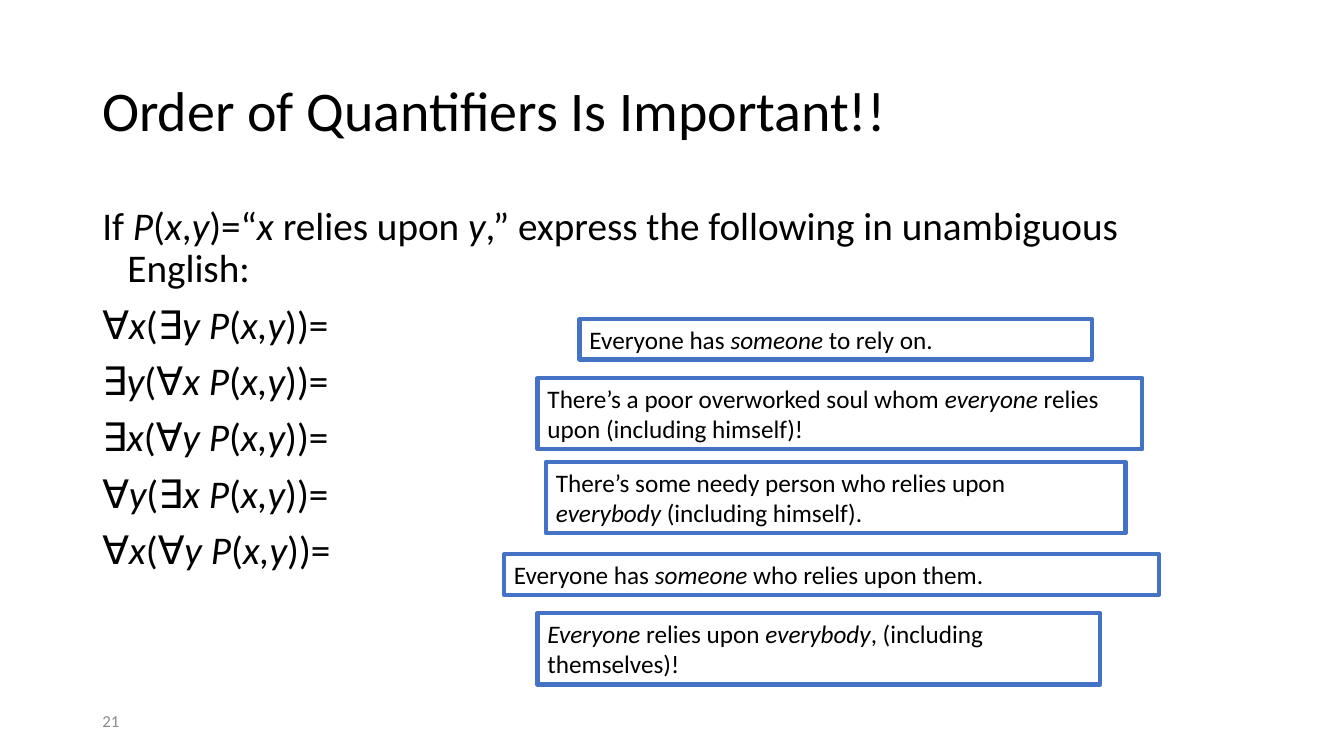
import dataclasses
import typing

import pptx
import pptx.dml.color
import pptx.enum.shapes
import pptx.enum.text
import pptx.util

COLOURS = {"ink": "000000", "paper": "FFFFFF", "border": "4472C4", "number": "8C8C8C"}
UNIT = pptx.util.Inches(1) // 12
COLUMNS, ROWS = 160, 90
MIDDLE = pptx.enum.text.MSO_ANCHOR.MIDDLE
TOP = pptx.enum.text.MSO_ANCHOR.TOP
LEFT = pptx.enum.text.PP_ALIGN.LEFT
GROW = pptx.enum.text.MSO_AUTO_SIZE.SHAPE_TO_FIT_TEXT
ONE_LINE, TWO_LINES = 4.8, 8.5


@dataclasses.dataclass(frozen=True)
class Area:
    column: float
    row: float
    columns: float
    rows: float

    def lengths(self) -> list[int]:
        return [round(n * UNIT) for n in (self.column, self.row, self.columns, self.rows)]


@dataclasses.dataclass(frozen=True)
class Wording:
    area: Area
    paragraphs: tuple[str, ...]
    size: int
    colour: str = "ink"
    frame: dict[str, typing.Any] = dataclasses.field(default_factory=dict)
    spacing: dict[str, typing.Any] = dataclasses.field(default_factory=dict)
    hanging: float = 0


def rgb(name: str) -> pptx.dml.color.RGBColor:
    return pptx.dml.color.RGBColor.from_string(COLOURS[name])


def apply(target: typing.Any, values: dict[str, typing.Any]) -> None:
    for attribute, value in values.items():
        setattr(target, attribute, value)


def write(shape: typing.Any, wording: Wording) -> None:
    frame = shape.text_frame
    apply(frame, {"word_wrap": True, "vertical_anchor": TOP} | wording.frame)
    for index, text in enumerate(wording.paragraphs):
        paragraph = frame.add_paragraph() if index else frame.paragraphs[0]
        apply(paragraph, {"alignment": LEFT} | wording.spacing)
        if wording.hanging:
            indent = round(wording.hanging * UNIT)
            properties = paragraph._p.get_or_add_pPr()
            properties.set("marL", str(indent))
            properties.set("indent", str(-indent))
        for position, part in enumerate(text.split("*")):
            if part:
                run = paragraph.add_run()
                run.text = part
                apply(run.font, {
                    "name": "Calibri",
                    "size": pptx.util.Pt(wording.size),
                    "italic": position % 2 == 1,
                })
                run.font.color.rgb = rgb(wording.colour)


def add_text(slide: typing.Any, wording: Wording) -> None:
    write(slide.shapes.add_textbox(*wording.area.lengths()), wording)


def add_answer(slide: typing.Any, wording: Wording) -> None:
    rectangle = pptx.enum.shapes.MSO_SHAPE.RECTANGLE
    answer = slide.shapes.add_shape(rectangle, *wording.area.lengths())
    answer.shadow.inherit = False
    answer.fill.solid()
    answer.fill.fore_color.rgb = rgb("paper")
    answer.line.color.rgb = rgb("border")
    answer.line.width = pptx.util.Pt(3)
    write(answer, wording)


QUANTIFIERS = ("∀x∃y", "∃y∀x", "∃x∀y", "∀y∃x", "∀x∀y")
FORMULAS = tuple(
    f"{outer}*{bound}*({inner}*{free} P*(*x,y*))="
    for outer, bound, inner, free in QUANTIFIERS
)
QUESTION = "If *P*(*x*,*y*)=“*x* relies upon *y*,” express the following in unambiguous English:"

TEXTS = (
    Wording(Area(11, 83.4, 36, 4.8), ("21",), 12, "number", {"vertical_anchor": MIDDLE}),
    Wording(Area(11, 4.8, 138, 17.4), ("Order of Quantifiers Is Important!!",), 40,
            frame={"vertical_anchor": MIDDLE}, spacing={"line_spacing": 0.9}),
    Wording(Area(11, 24, 138, 57.1), (QUESTION, *FORMULAS), 28,
            spacing={"line_spacing": 0.9, "space_before": pptx.util.Pt(10)}, hanging=3),
)

ANSWERS = (
    (Area(69, 38, 61, ONE_LINE), "Everyone has *someone* to rely on."),
    (Area(64, 45, 72, TWO_LINES),
     "There’s a poor overworked soul whom *everyone* relies upon (including himself)!"),
    (Area(65, 55, 69, TWO_LINES),
     "There’s some needy person who relies upon *everybody* (including himself)."),
    (Area(60, 66, 78, ONE_LINE), "Everyone has *someone* who relies upon them."),
    (Area(64, 73, 67, TWO_LINES),
     "*Everyone* relies upon *everybody*, (including themselves)!"),
)


def main() -> None:
    deck = pptx.Presentation()
    apply(deck, {"slide_width": COLUMNS * UNIT, "slide_height": ROWS * UNIT})
    slide = deck.slides.add_slide(deck.slide_layouts[6])
    for wording in TEXTS:
        add_text(slide, wording)
    for area, sentence in ANSWERS:
        add_answer(slide, Wording(area, (sentence,), 18, frame={"auto_size": GROW}))
    deck.save("out.pptx")


if __name__ == "__main__":
    main()
